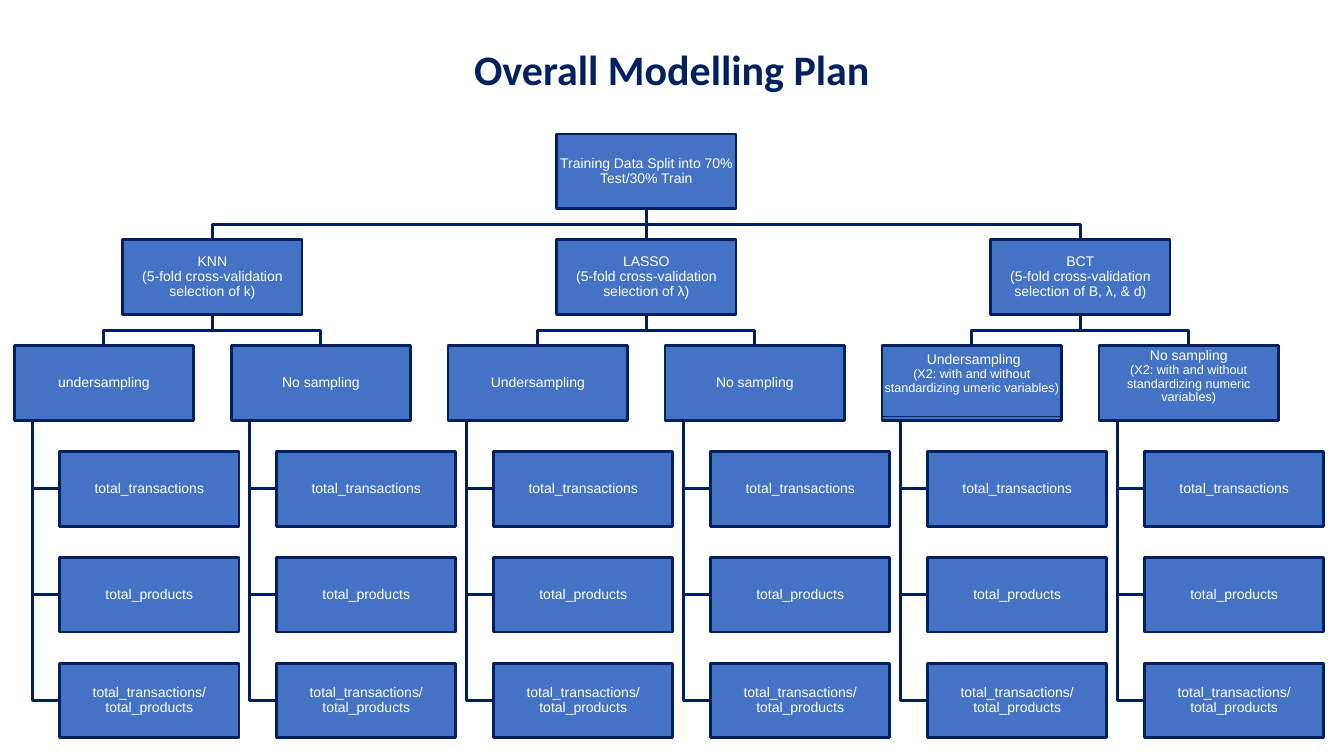
import dataclasses

import pptx
import pptx.dml.color
import pptx.enum.shapes
import pptx.enum.text
import pptx.oxml
import pptx.util
from pptx.util import Inches


@dataclasses.dataclass(frozen=True)
class Theme:
    navy: str = "002060"
    blue: str = "4472C4"
    white: str = "FFFFFF"
    title_font: str = "Calibri"
    node_font: str = "Arial"
    title_size: float = 30
    node_size: float = 10
    note_size: float = 9
    line_width: float = 2
    thin_line: float = 0.75


THEME = Theme()

# Tree geometry in inches
NODE_WIDTH, NODE_HEIGHT = 1.78, 0.74
ROW_STEP = 1.05
LEAF_INDENT = 0.45
STEM_OFFSET = 0.18

ROOT = "Training Data Split into 70% Test/30% Train"
LEAVES = ["total_transactions", "total_products", "total_transactions/\ntotal_products"]

# Each method has two branches: text, and space kept free below the text
METHODS = [
    ("KNN\n(5-fold cross-validation selection of k)",
     [("undersampling", 0), ("No sampling", 0)]),
    ("LASSO\n(5-fold cross-validation selection of λ)",
     [("Undersampling", 0), ("No sampling", 0)]),
    ("BCT\n(5-fold cross-validation selection of B, λ, & d)",
     [(" Undersampling\n(X2: with and without standardizing umeric variables)", 0.18),
      ("No sampling\n(X2: with and without standardizing numeric variables)", 0.13)]),
]


def color(code):
    return pptx.dml.color.RGBColor.from_string(code)


def style_line(line, width=THEME.line_width):
    line.color.rgb = color(THEME.navy)
    line.width = pptx.util.Pt(width)


def style_paragraph(para, font, size, text_color, spacing, bold=False):
    para.alignment = pptx.enum.text.PP_ALIGN.CENTER
    para.line_spacing = spacing
    for span in para.runs:
        span.font.name = font
        span.font.size = pptx.util.Pt(size)
        span.font.bold = bold
        span.font.color.rgb = color(text_color)


def add_title(page, left, top, width, height):
    box = page.shapes.add_textbox(Inches(left), Inches(top), Inches(width), Inches(height))
    frame = box.text_frame
    frame.word_wrap = True
    frame.vertical_anchor = pptx.enum.text.MSO_ANCHOR.MIDDLE
    frame.text = "Overall Modelling Plan"
    style_paragraph(frame.paragraphs[0], THEME.title_font, THEME.title_size,
                    THEME.navy, 0.9, bold=True)


def add_node(page, left, top, text, space_below=0, note_size=THEME.node_size):
    box = page.shapes.add_shape(pptx.enum.shapes.MSO_SHAPE.RECTANGLE, Inches(left),
                                Inches(top), Inches(NODE_WIDTH), Inches(NODE_HEIGHT))
    box.shadow.inherit = False
    box.fill.solid()
    box.fill.fore_color.rgb = color(THEME.blue)
    style_line(box.line)
    frame = box.text_frame
    frame.word_wrap = True
    frame.vertical_anchor = pptx.enum.text.MSO_ANCHOR.MIDDLE
    frame.margin_left = frame.margin_right = frame.margin_top = 0
    frame.margin_bottom = Inches(space_below)
    frame.text = text
    for index, para in enumerate(frame.paragraphs):
        size = note_size if index else THEME.node_size
        style_paragraph(para, THEME.node_font, size, THEME.white, 0.89)
    return box


def add_elbow(page, points):
    corners = [(Inches(x), Inches(y)) for x, y in points]
    builder = page.shapes.build_freeform(*corners[0])
    builder.add_line_segments(corners[1:], close=False)
    elbow = builder.convert_to_shape()
    elbow.shadow.inherit = False
    elbow.fill.background()
    style_line(elbow.line)


def add_straight(page, start, end, width=THEME.line_width):
    line = page.shapes.add_connector(pptx.enum.shapes.MSO_CONNECTOR.STRAIGHT, *start, *end)
    line._element.spPr.append(pptx.oxml.parse_xml(
        '<a:effectLst xmlns:a="http://schemas.openxmlformats.org/drawingml/2006/main"/>'))
    style_line(line.line, width)
    return line


def link_down(page, parent_x, child_x, child_top):
    """Elbow from a parent's bottom to a child's top in the next row."""
    parent_bottom = child_top - ROW_STEP + NODE_HEIGHT
    middle = (parent_bottom + child_top) / 2
    add_elbow(page, [(parent_x, parent_bottom), (parent_x, middle),
                     (child_x, middle), (child_x, child_top)])


def add_branch(page, left, top, text, space_below):
    """A sampling choice with its three target variables below it."""
    stem = left + STEM_OFFSET
    for row, leaf in enumerate(LEAVES, start=1):
        leaf_left, leaf_top = left + LEAF_INDENT, top + row * ROW_STEP
        leaf_middle = leaf_top + NODE_HEIGHT / 2
        add_elbow(page, [(stem, top + NODE_HEIGHT), (stem, leaf_middle),
                         (leaf_left, leaf_middle)])
        add_node(page, leaf_left, leaf_top, leaf)
    add_node(page, left, top, text, space_below, THEME.note_size)


def add_method(page, left, top, pitch, text, branches):
    """A model with its two branches; returns the model's node."""
    center = left + (pitch + NODE_WIDTH) / 2
    branch_top = top + ROW_STEP
    for index, (branch_text, space_below) in enumerate(branches):
        branch_left = left + index * pitch
        link_down(page, center, branch_left + NODE_WIDTH / 2, branch_top)
        add_branch(page, branch_left, branch_top, branch_text, space_below)
    return add_node(page, center - NODE_WIDTH / 2, top, text)


def add_tree(page, left, top, width):
    """The whole plan: six columns spread evenly over the width."""
    pitch = (width - NODE_WIDTH - LEAF_INDENT) / 5
    root_center = left + (5 * pitch + NODE_WIDTH) / 2
    root = add_node(page, root_center - NODE_WIDTH / 2, top, ROOT)
    method_top = top + ROW_STEP
    for index, (text, branches) in enumerate(METHODS):
        method_left = left + 2 * index * pitch
        method = add_method(page, method_left, method_top, pitch, text, branches)
        if index == 1:
            # The middle model sits straight below the root
            trunk = add_straight(page, (0, 0), (0, 0))
            trunk.begin_connect(root, 2)
            trunk.end_connect(method, 0)
        else:
            method_center = method_left + (pitch + NODE_WIDTH) / 2
            link_down(page, root_center, method_center, method_top)

    # Thin rule near the foot of the fifth branch
    rule_left = left + 4 * pitch
    rule_top = Inches(top + 2 * ROW_STEP + 0.7)
    add_straight(page, (Inches(rule_left), rule_top),
                 (Inches(rule_left + NODE_WIDTH), rule_top), THEME.thin_line)


def main():
    deck = pptx.Presentation()
    deck.slide_width, deck.slide_height = Inches(13.33), Inches(7.5)
    page = deck.slides.add_slide(deck.slide_layouts[6])
    add_title(page, 0, -0.01, 13.33, 1.45)
    add_tree(page, 0.14, 1.33, 12.99)
    deck.save("out.pptx")


if __name__ == "__main__":
    main()
